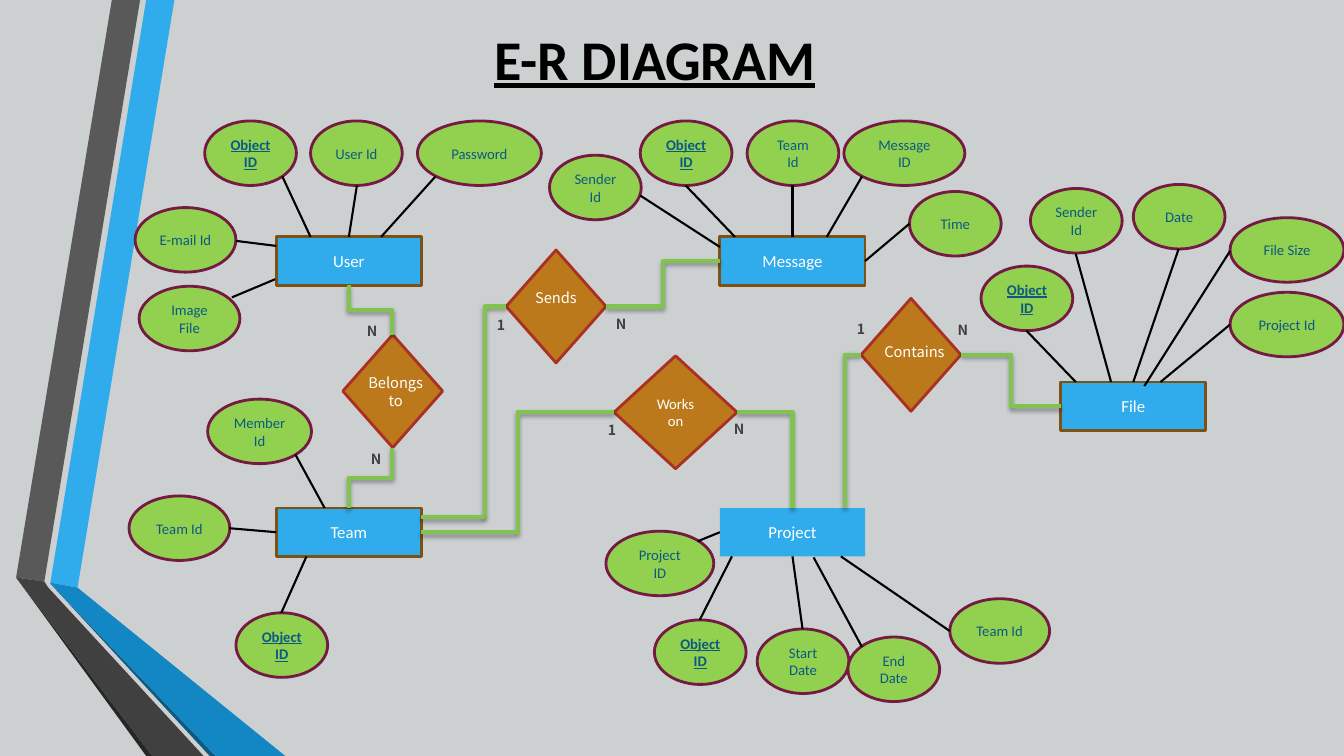
from typing import Any, NamedTuple

from lxml import etree
from pptx import Presentation
from pptx.dml.color import RGBColor
from pptx.enum.shapes import MSO_CONNECTOR, MSO_SHAPE
from pptx.enum.text import MSO_ANCHOR, PP_ALIGN
from pptx.oxml.ns import qn
from pptx.util import Inches, Pt

RECT, OVAL, GEM = MSO_SHAPE.RECTANGLE, MSO_SHAPE.OVAL, MSO_SHAPE.DIAMOND
STRAIGHT, ELBOW = MSO_CONNECTOR.STRAIGHT, MSO_CONNECTOR.ELBOW
CENTER, LEFT = PP_ALIGN.CENTER, PP_ALIGN.LEFT
MIDDLE, TOP = MSO_ANCHOR.MIDDLE, MSO_ANCHOR.TOP

PAPER = RGBColor(0xCD, 0xD0, 0xD1)
BLACK = RGBColor(0x00, 0x00, 0x00)
WHITE = RGBColor(0xFF, 0xFF, 0xFF)
BLUE = RGBColor(0x30, 0xAC, 0xEC)
BROWN = RGBColor(0x7D, 0x50, 0x13)
LIME = RGBColor(0x92, 0xD0, 0x50)
PLUM = RGBColor(0x75, 0x1A, 0x43)
NAVY = RGBColor(0x0C, 0x5A, 0x82)
OCHRE = RGBColor(0xBC, 0x79, 0x1C)
RUST = RGBColor(0xA9, 0x30, 0x23)
GREEN = RGBColor(0x80, 0xC3, 0x4F)
GREY = RGBColor(0x40, 0x40, 0x40)
ASH = RGBColor(0x59, 0x59, 0x59)
COAL = RGBColor(0x26, 0x26, 0x26)
OCEAN = RGBColor(0x12, 0x87, 0xC3)

# The grid has ten columns or rows to the inch
CELL = Inches(0.1)
COLS, ROWS = 133.3, 75
BOX_W, BOX_H, OVAL_H, GEM_H = 14.4, 4.8, 6.4, 11.2
SANS, NOTO = "Calibri", "Noto Sans CJK SC"
HEAD = {"name": SANS, "size": Pt(40), "bold": True, "underline": True}
NAME = {"name": SANS, "size": Pt(12)}
FIELD = {"name": SANS, "size": Pt(10.5)}
KEY = FIELD | {"bold": True, "underline": True}
VERB = {"name": NOTO, "size": Pt(10.5)}
COUNT = {"name": NOTO, "size": Pt(10), "bold": True}

Point = tuple[float, float]


class Band(NamedTuple):
    color: RGBColor
    points: list[Point]


class Field(NamedTuple):
    text: str
    col: float
    row: float
    wide: float
    start: Point
    end: Point


class Table(NamedTuple):
    text: str
    col: float
    row: float
    edge: RGBColor | None
    fields: list[Field]


class Label(NamedTuple):
    text: str
    col: float
    row: float
    wide: float
    high: float


class Link(NamedTuple):
    start: Point
    end: Point
    kind: str  # "step", "drop", "turn" or "flat"


BANDS = [
    Band(BLUE, [(5, 57.8), (7.7, 58.3), (17.3, 0), (14.5, 0)]),
    Band(ASH, [(13.9, 0), (11.1, 0), (1.6, 57.3), (4.4, 57.7)]),
    Band(COAL, [(1.6, 57.3), (14.5, 75), (15.1, 75)]),
    Band(NAVY, [(5, 57.9), (20.8, 75), (21.4, 75)]),
    Band(OCEAN, [(5, 57.9), (21.4, 75), (28.3, 75), (7.7, 58.3), (5, 57.8)]),
    Band(GREY, [(20.2, 75), (4.8, 58.3), (4.4, 57.7), (1.6, 57.3), (15.1, 75)]),
]
TABLES = [
    Table("User", 27.4, 23.5, BROWN, [
        Field("Object ID", 20.3, 12, 9.1, (28, 17.5), (30.8, 23.5)),
        Field("User Id", 30.8, 12, 9.1, (35.4, 18.4), (34.6, 23.5)),
        Field("Password", 41.4, 12, 12.3, (43.2, 17.5), (37.8, 23.5)),
        Field("E-mail Id", 13.4, 20.6, 10, (23.4, 23.9), (27.4, 24.4)),
        Field("Image File", 13.8, 28.4, 10, (23, 29.5), (27.3, 27.7))]),
    Table("Message", 71.4, 23.5, BROWN, [
        Field("Sender Id", 54.5, 15.4, 9.1, (63.5, 19.4), (71.4, 24.5)),
        Field("Object ID", 63.5, 12, 9.1, (68, 18.4), (72.9, 23.5)),
        Field("Team Id", 74.1, 12, 9.1, (78.6, 18.4), (78.6, 23.5)),
        Field("Message ID", 83.7, 12, 12, (85.5, 17.5), (82, 23.5)),
        Field("Time", 90.2, 19, 9.1, (90.2, 22.2), (85.8, 25.9))]),
    Table("Team", 27.4, 50.4, BROWN, [
        Field("Member Id", 20.6, 39.6, 10.3, (29.3, 45.1), (32.2, 50.4)),
        Field("Team Id", 12.8, 49.2, 10, (22.7, 52.4), (27.4, 52.8)),
        Field("Object ID", 23.4, 60.8, 9.1, (27.9, 60.8), (30.4, 55.2))]),
    Table("Project", 71.4, 50.4, None, [
        Field("Project ID", 60.1, 52.7, 10.7, (69.2, 53.7), (71.4, 52.8)),
        Field("Object ID", 64.9, 61.5, 9.1, (69.4, 61.5), (72.6, 55.2)),
        Field("Start Date", 75.1, 62.4, 9.1, (79.6, 62.4), (78.6, 55.2)),
        Field("End Date", 84.1, 63.2, 9.1, (85.5, 64.2), (80.7, 55.3)),
        Field("Team Id", 94.2, 59.4, 9.9, (94.2, 62.6), (83.4, 55.2))]),
    Table("File", 105.2, 37.9, BROWN, [
        Field("Object ID", 97.3, 26.4, 9.1, (101.8, 32.8), (106.7, 37.9)),
        Field("Sender Id", 102.2, 18.7, 9.1, (106.7, 25.2), (110.2, 37.9)),
        Field("Date", 112.4, 18.3, 9.1, (116.9, 24.7), (112.4, 37.9)),
        Field("File Size", 122, 21.6, 11.3, (122, 24.9), (113.5, 38.3)),
        Field("Project Id", 122, 29, 11.3, (122, 32.2), (115.1, 37.9))]),
]
GEMS = [(34, 33.2, 9.9, ""), (50.2, 24.8, 9.9, ""),
        (60.9, 35.3, 12.2, "Works on"), (85.4, 29.6, 9.9, "")]
LINKS = [
    Link((34.6, 28.3), (38.9, 33.2), "drop"),
    Link((38.9, 44.4), (34.6, 50.4), "drop"),
    Link((60.1, 30.4), (71.4, 25.9), "step"),
    Link((73.1, 40.9), (78.6, 50.4), "turn"),
    Link((60.9, 40.9), (41.8, 52.8), "step"),
    Link((50.2, 30.4), (48.1, 51.3), "turn"),
    Link((41.8, 51.3), (48.1, 51.3), "flat"),
    Link((95.3, 35.2), (105.2, 40.3), "step"),
    Link((85.4, 35.2), (83.8, 50.3), "turn"),
]
VERBS = [Label("Sends", 51.6, 28.2, 7.1, 3), Label("Contains", 86.4, 33.5, 8.6, 2.8),
         Label("Belongs to", 35.4, 36.6, 7.7, 4.9)]
COUNTS = [("N", 35.4, 31.5), ("1", 48.3, 30.9), ("N", 60.1, 30.8), ("N", 35.8, 44.2),
          ("1", 59.3, 41.3), ("N", 71.8, 41.2), ("1", 84, 31.3), ("N", 94, 31.4)]


def grid(*cells: float) -> list[int]:
    return [round(cell * CELL) for cell in cells]


def write(shape: Any, text: str, style: dict[str, Any], color: RGBColor,
          align: Any = CENTER, anchor: Any = MIDDLE) -> None:
    frame = shape.text_frame
    frame.word_wrap = True
    frame.vertical_anchor = anchor
    line = frame.paragraphs[0]
    line.alignment = align
    run = line.add_run()
    run.text = text
    for key, value in style.items():
        setattr(run.font, key, value)
    run.font.color.rgb = color


def paint(shape: Any, fill: RGBColor, edge: RGBColor | None = None) -> None:
    shape.shadow.inherit = False
    shape.fill.solid()
    shape.fill.fore_color.rgb = fill
    if edge is None:
        shape.line.fill.background()
    else:
        shape.line.color.rgb = edge
        shape.line.width = Pt(2)


def wire(shapes: Any, kind: Any, start: Point, end: Point,
         color: RGBColor, width: float) -> tuple[Any, Any]:
    line = shapes.add_connector(kind, *grid(*start, *end))
    line.line.color.rgb = color
    line.line.width = Pt(width)
    props = line._element.spPr
    return props, etree.SubElement(props, qn("a:effectLst"))


def join(shapes: Any, link: Link) -> None:
    (x1, y1), (x2, y2) = start, end = link.start, link.end
    if link.kind == "drop":  # lay the step on its side, then turn it
        mid_x, mid_y = (x1 + x2) / 2, (y1 + y2) / 2
        half_w, half_h = (y2 - y1) / 2, (x2 - x1) / 2
        start = mid_x - half_w, mid_y + half_h
        end = mid_x + half_w, mid_y - half_h
    kind = STRAIGHT if link.kind == "flat" else ELBOW
    props, glow = wire(shapes, kind, start, end, GREEN, 3)
    if link.kind == "drop":
        props.find(qn("a:xfrm")).set("rot", "5400000")
    if link.kind == "turn":
        props.find(qn("a:prstGeom")).set("prst", "bentConnector2")
    shade = etree.SubElement(glow, qn("a:outerShdw"), blurRad="40000",
                             dist="23000", dir="5400000", rotWithShape="0")
    tint = etree.SubElement(shade, qn("a:srgbClr"), val=str(BLACK))
    etree.SubElement(tint, qn("a:alpha"), val="35000")


def main() -> None:
    deck = Presentation()
    deck.slide_width, deck.slide_height = grid(COLS, ROWS)
    slide = deck.slides.add_slide(deck.slide_layouts[6])
    slide.background.fill.solid()
    slide.background.fill.fore_color.rgb = PAPER
    shapes = slide.shapes

    # Side bands and title
    for band in BANDS:
        first, *rest = [tuple(grid(*point)) for point in band.points]
        path = shapes.build_freeform(*first)
        path.add_line_segments(rest, close=True)
        paint(path.convert_to_shape(), band.color)
    title = shapes.add_textbox(*grid(13.2, 1.9, 103.5, 7.7))
    write(title, "E-R DIAGRAM", HEAD, BLACK, anchor=TOP)

    # Tables with their fields
    for table in TABLES:
        box = shapes.add_shape(RECT, *grid(table.col, table.row, BOX_W, BOX_H))
        paint(box, BLUE, table.edge)
        write(box, table.text, NAME, WHITE)
        for field in table.fields:
            oval = shapes.add_shape(OVAL, *grid(field.col, field.row, field.wide, OVAL_H))
            paint(oval, LIME, PLUM)
            write(oval, field.text, KEY if field.text == "Object ID" else FIELD, NAVY)
            wire(shapes, STRAIGHT, field.start, field.end, BLACK, 1.5)

    # Relations and their links
    for col, row, wide, text in GEMS:
        gem = shapes.add_shape(GEM, *grid(col, row, wide, GEM_H))
        paint(gem, OCHRE, RUST)
        if text:
            write(gem, text, FIELD, WHITE)
    for link in LINKS:
        join(shapes, link)

    # Verbs and counts
    for verb in VERBS:
        write(shapes.add_textbox(*grid(*verb[1:])), verb.text, VERB, WHITE, anchor=TOP)
    for text, col, row in COUNTS:
        note = shapes.add_textbox(*grid(col, row, 2.4, 3))
        write(note, text, COUNT, GREY, LEFT, TOP)

    deck.save("out.pptx")


if __name__ == "__main__":
    main()
